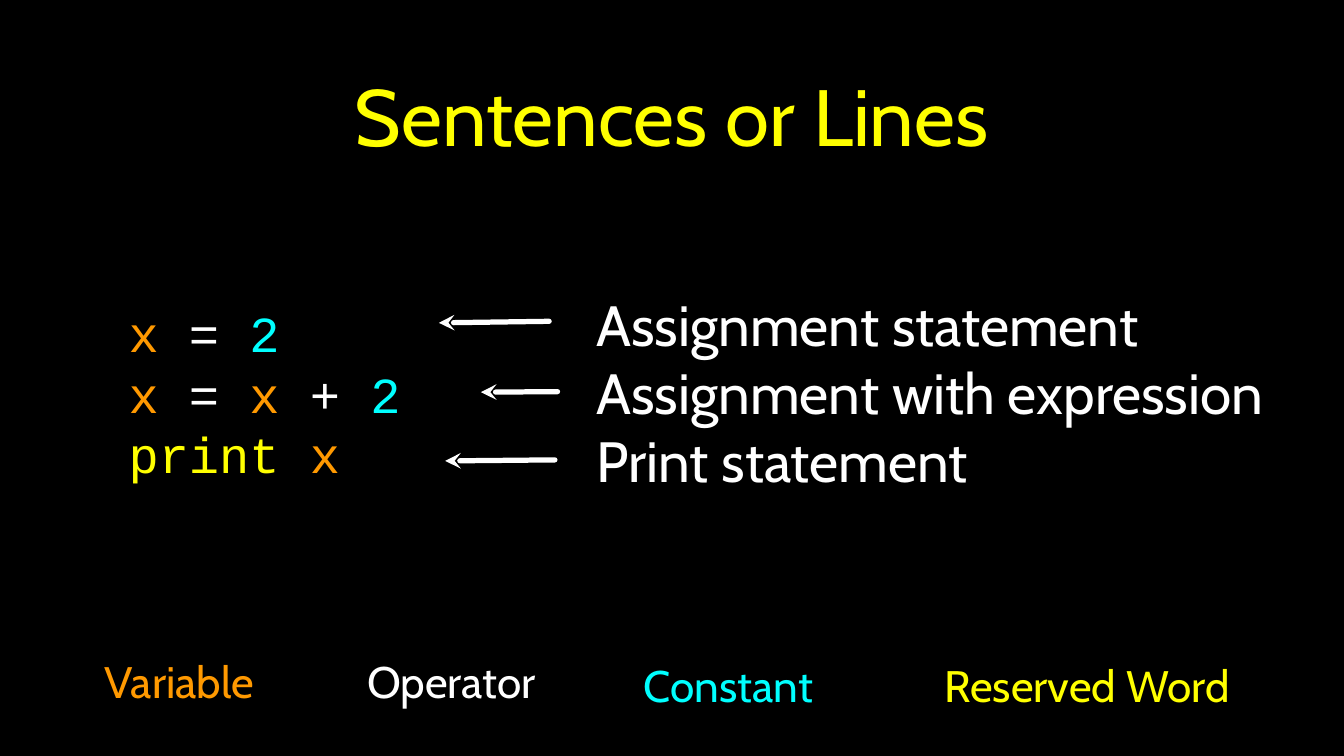
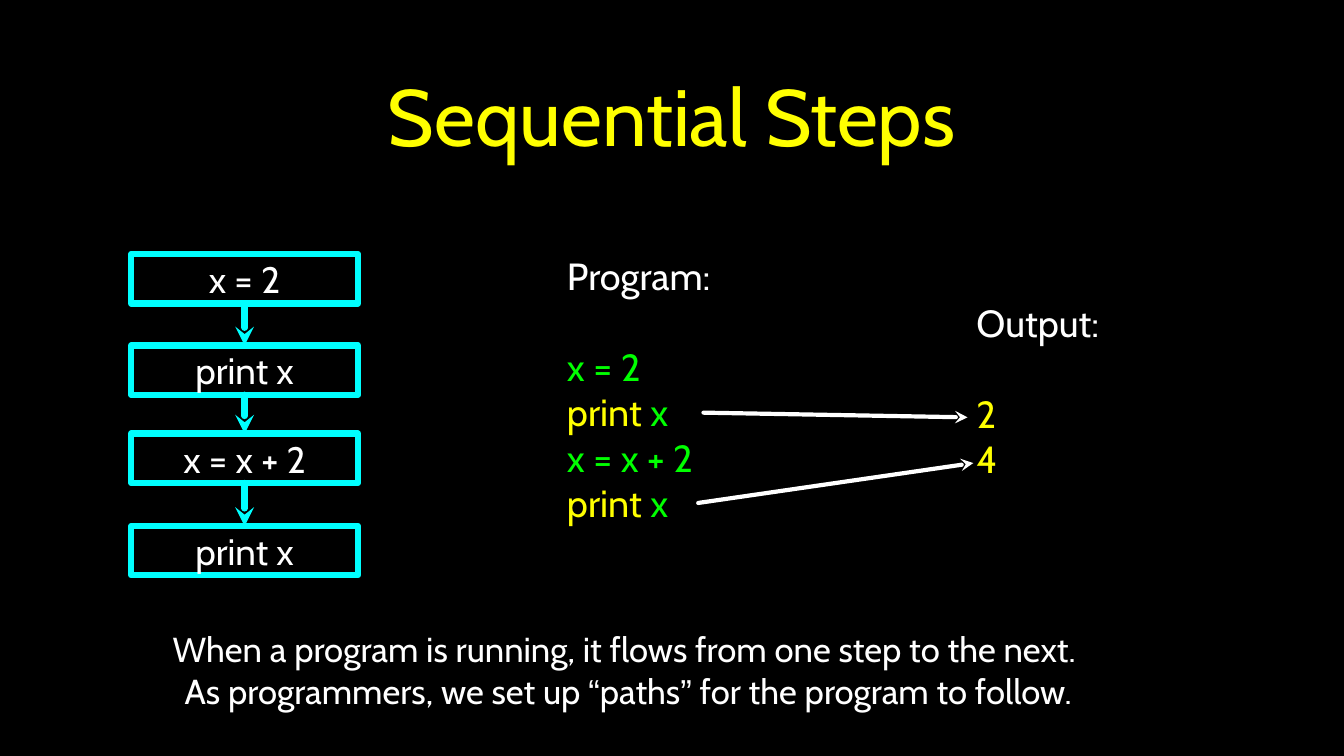
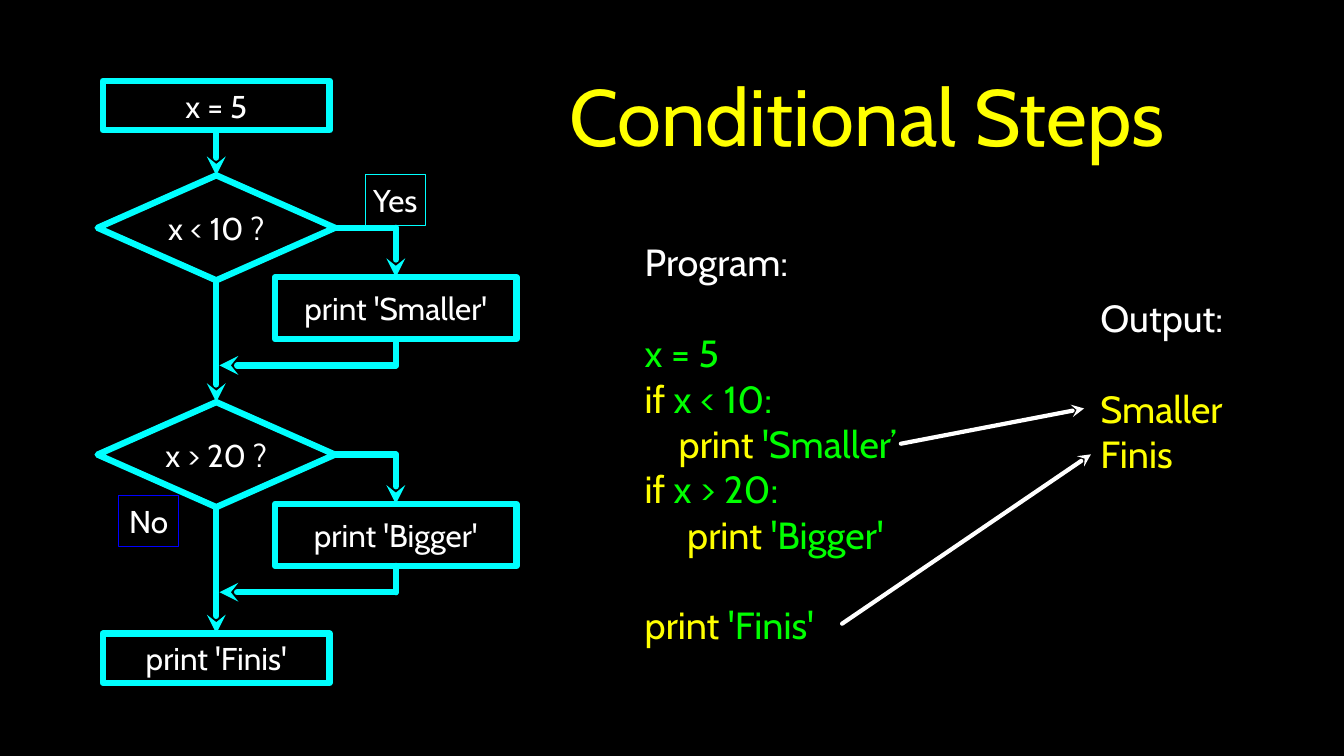
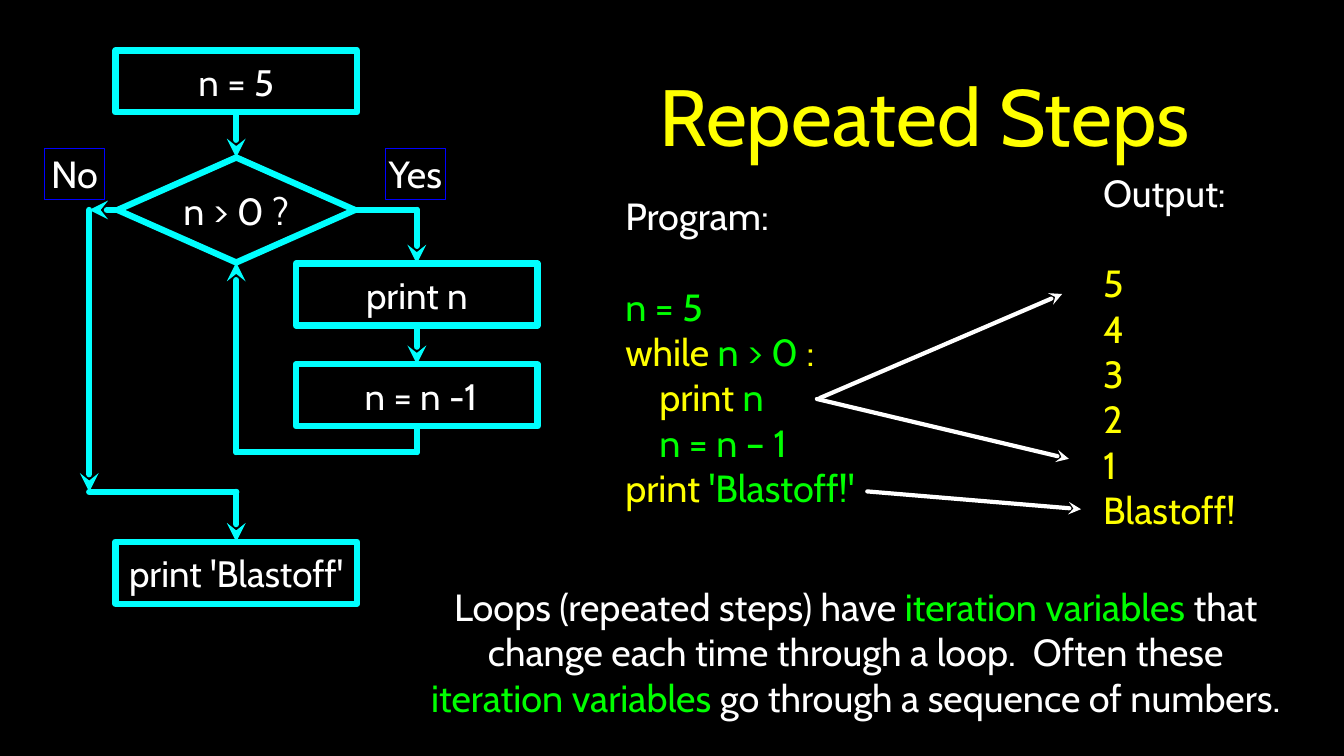
from typing import NamedTuple, Optional, Union

from lxml import etree
from pptx import Presentation
from pptx.dml.color import RGBColor
from pptx.enum.shapes import MSO_CONNECTOR, MSO_SHAPE
from pptx.enum.text import MSO_ANCHOR, MSO_AUTO_SIZE, PP_ALIGN
from pptx.oxml.ns import qn
from pptx.util import Pt

# Shared style
BLACK = RGBColor(0x00, 0x00, 0x00)
WHITE = RGBColor(0xFF, 0xFF, 0xFF)
YELLOW = RGBColor(0xFF, 0xFF, 0x00)
ORANGE = RGBColor(0xFF, 0x99, 0x00)
GREEN = RGBColor(0x00, 0xFF, 0x00)
CYAN = RGBColor(0x00, 0xFF, 0xFF)
BLUE = RGBColor(0x00, 0x00, 0xFF)
SANS, MONO, PLAIN = "Cabin", "Courier New", "Arial"
LEFT, CENTER = PP_ALIGN.LEFT, PP_ALIGN.CENTER
MIDDLE, FIXED = MSO_ANCHOR.MIDDLE, MSO_AUTO_SIZE.NONE
RECT, DIAMOND = MSO_SHAPE.RECTANGLE, MSO_SHAPE.DIAMOND
STRAIGHT = MSO_CONNECTOR.STRAIGHT
TOP, WEST, BOTTOM, EAST = range(4)
TITLE_EDGE = 1188
TWO_LISTS = 3
CODE_SIZE = 36
CODE_GAP = 43.2
TAB = 32.4
FLOW_WIDTH, HAND_WIDTH, LABEL_WIDTH = 6, 4, 0.75


class Box(NamedTuple):
    left: float
    top: float
    width: float
    height: float


class Span(NamedTuple):
    text: str
    color: RGBColor = WHITE
    font: str = SANS


class Line(NamedTuple):
    spans: list[Span]
    gap: float = 0
    indent: float = 0


class Point(NamedTuple):
    x: float
    y: float


class Site(NamedTuple):
    shape: object
    side: int


Stop = Union[Point, Site]


def line(*parts: Union[str, RGBColor], font: str = SANS, gap: float = 0,
         indent: float = 0) -> Line:
    """Build a line from alternating texts and colours."""
    spans = [Span(text, color, font) for text, color in zip(parts[::2], parts[1::2])]
    return Line(spans, gap, indent)


# Text
def write(shape, lines: list[Line], size: float, align=LEFT, inset: float = 0) -> None:
    frame = shape.text_frame
    frame.word_wrap = True
    frame.auto_size = FIXED
    frame.vertical_anchor = MIDDLE
    frame.margin_left = frame.margin_right = Pt(inset)
    frame.margin_top = frame.margin_bottom = Pt(inset)
    for index, item in enumerate(lines):
        para = frame.add_paragraph() if index else frame.paragraphs[0]
        para.alignment = align
        para.line_spacing = 1.0
        para.space_before, para.space_after = Pt(item.gap), Pt(0)
        props = para._p.get_or_add_pPr()
        props.set("marL", str(Pt(item.indent)))
        props.set("indent", "0")
        etree.SubElement(props, qn("a:buNone"))
        for span in item.spans:
            run = para.add_run()
            run.text = span.text
            run.font.name = span.font
            run.font.size = Pt(size)
            run.font.color.rgb = span.color


def place(shape, box: Box) -> None:
    shape.left, shape.top, shape.width, shape.height = map(Pt, box)


def add_slide(deck, title: str, left: float = 91):
    slide = deck.slides.add_slide(deck.slide_layouts[TWO_LISTS])
    place(slide.shapes.title, Box(left, 18.7, TITLE_EDGE - left, 180.7))
    write(slide.shapes.title, [line(title, YELLOW)], 76, CENTER, inset=3)
    return slide


def fill_list(slide, index: int, box: Box, lines: list[Line],
              size: float = CODE_SIZE) -> None:
    body = slide.placeholders[index]
    place(body, box)
    write(body, lines, size)


def add_code(slide, box: Box, lines: list[Line]) -> None:
    fill_list(slide, 1, box, [line("Program:", WHITE)] + lines)


def add_output(slide, box: Box, words: list[str]) -> None:
    lines = [line(word, YELLOW, gap=0 if index else CODE_GAP)
             for index, word in enumerate(words)]
    fill_list(slide, 2, box, [line("Output:", WHITE)] + lines)


def add_note(slide, box: Box, item: Line, size: float) -> None:
    write(slide.shapes.add_textbox(*map(Pt, box)), [item], size, CENTER)


# Flow chart parts
def style_line(shape, color: RGBColor, width: float, arrow: bool = False) -> None:
    shape.line.color.rgb = color
    shape.line.width = Pt(width)
    stroke = shape._element.spPr.find(qn("a:ln"))
    stroke.set("cap", "rnd")
    etree.SubElement(stroke, qn("a:round"))
    if arrow:
        etree.SubElement(stroke, qn("a:tailEnd"), type="stealth")


def add_step(slide, box: Box, text: str, size: float, kind=RECT,
             color: RGBColor = CYAN, width: float = FLOW_WIDTH):
    shape = slide.shapes.add_shape(kind, *map(Pt, box))
    shape.shadow.inherit = False
    shape.fill.background()
    style_line(shape, color, width)
    write(shape, [line(text, WHITE)], size, CENTER)
    return shape


def add_label(slide, left: float, top: float, text: str, size: float,
              color: RGBColor = BLUE) -> None:
    add_step(slide, Box(left, top, 57, 49), text, size, color=color, width=LABEL_WIDTH)


def locate(stop: Stop) -> tuple[int, int]:
    if isinstance(stop, Point):
        return Pt(stop.x), Pt(stop.y)
    shape, side = stop
    across, down = ((0.5, 0), (0, 0.5), (0.5, 1), (1, 0.5))[side]
    return (int(shape.left + shape.width * across),
            int(shape.top + shape.height * down))


def add_route(slide, *stops: Stop, color: RGBColor = CYAN,
              width: float = FLOW_WIDTH, arrow: bool = True) -> None:
    """Join the stops in order, with an arrowhead at the last one."""
    for index, (start, end) in enumerate(zip(stops, stops[1:]), 2):
        link = slide.shapes.add_connector(STRAIGHT, *locate(start), *locate(end))
        if isinstance(start, Site):
            link.begin_connect(start.shape, start.side)
        if isinstance(end, Site):
            link.end_connect(end.shape, end.side)
        style_line(link, color, width, arrow and index == len(stops))
        etree.SubElement(link._element.spPr, qn("a:effectLst"))


def add_hand(slide, start: Point, end: Point, width: float = HAND_WIDTH) -> None:
    add_route(slide, start, end, color=WHITE, width=width)


# Slides
def show_lines(deck) -> None:
    slide = add_slide(deck, "Sentences or Lines")
    fill_list(slide, 1, Box(122.4, 215.3, 315.4, 318.2), [
        line("x ", ORANGE, "= ", WHITE, "2", CYAN, font=MONO),
        line("x ", ORANGE, "= ", WHITE, "x ", ORANGE, "+ ", WHITE, "2", CYAN, font=MONO),
        line("print ", YELLOW, "x", ORANGE, font=MONO),
    ], 48)
    kinds = ("Assignment statement", "Assignment with expression", "Print statement")
    fill_list(slide, 2, Box(568, 213.8, 666.7, 318.2),
              [line(kind, WHITE) for kind in kinds], 54)

    legend = (("Variable", ORANGE, 78.5, 620, 184.3),
              ("Operator", WHITE, 343.4, 620, 172.8),
              ("Constant", CYAN, 610.6, 624.2, 166.3),
              ("Reserved Word", YELLOW, 897.8, 624.2, 275))
    for word, color, left, top, width in legend:
        add_note(slide, Box(left, top, width, 56.9), line(word, color), 42)

    for start, end in ((Point(523, 306), Point(418, 307.5)),
                       (Point(531, 373), Point(458, 373.5)),
                       (Point(528.5, 438), Point(424, 439))):
        add_hand(slide, start, end, 5)


def show_sequence(deck) -> None:
    slide = add_slide(deck, "Sequential Steps")
    add_code(slide, Box(540, 242, 171.4, 257), [
        line("x = 2", GREEN, gap=CODE_GAP),
        line("print ", YELLOW, "x", GREEN),
        line("x = x + 2", GREEN),
        line("print ", YELLOW, "x", GREEN),
    ])
    add_output(slide, Box(930, 288, 157, 168), ["2", "4"])

    texts = ("x = 2", "print x", "x = x + 2", "print x")
    steps = [add_step(slide, Box(125, top, 216, 47), text, 35)
             for text, top in zip(texts, (242, 329, 413, 501))]
    for upper, lower in zip(steps, steps[1:]):
        add_route(slide, Site(upper, BOTTOM), Site(lower, TOP))

    add_hand(slide, Point(670, 393), Point(921.5, 397.5))
    add_hand(slide, Point(665, 479), Point(927, 441))
    note = Line([
        Span("When a program is running, it flows from one step to the next.  "
             "As programmers, we set up "),
        Span("“", font=PLAIN), Span("paths"), Span("”", font=PLAIN),
        Span(" for the program to follow."),
    ])
    add_note(slide, Box(162, 595.5, 872.6, 84), note, 33)


def add_branch(slide, top: float, test: str, action: str):
    """Draw a test with its Yes branch, which rejoins the main path."""
    check = add_step(slide, Box(93, top, 226, 100), test, 30, DIAMOND)
    step = add_step(slide, Box(262, top + 97, 230, 59), action, 30)
    add_route(slide, Site(check, EAST), Point(377, top + 50), Site(step, TOP))
    add_route(slide, Site(step, BOTTOM), Point(377, top + 181), Point(209, top + 181))
    return check


def show_choice(deck) -> None:
    slide = add_slide(deck, "Conditional Steps", 463)
    add_output(slide, Box(1048, 281, 124.6, 172), ["Smaller", "Finis"])
    add_code(slide, Box(614, 226, 244, 392.4), [
        line("x = 5", GREEN, gap=CODE_GAP),
        line("if ", YELLOW, "x < 10:", GREEN),
        line("print ", YELLOW, "'Smaller’", GREEN, indent=TAB),
        line("if ", YELLOW, "x > 20:", GREEN),
        line("print ", YELLOW, "'Bigger'", GREEN, indent=TAB * 1.25),
        line("print ", YELLOW, "'Finis'", GREEN, gap=CODE_GAP),
    ])

    first = add_step(slide, Box(98, 77, 216, 47), "x = 5", 30)
    small = add_branch(slide, 167, "x < 10 ?", "print 'Smaller'")
    big = add_branch(slide, 383, "x > 20 ?", "print 'Bigger'")
    last = add_step(slide, Box(98, 603.4, 216, 47), "print 'Finis'", 30)
    steps = (first, small, big, last)
    for upper, lower in zip(steps, steps[1:]):
        add_route(slide, Site(upper, BOTTOM), Site(lower, TOP))
    add_label(slide, 348, 166, "Yes", 30, CYAN)
    add_label(slide, 113, 471.6, "No", 30)

    add_hand(slide, Point(858, 422.6), Point(1032.5, 389))
    add_hand(slide, Point(802, 594), Point(1039, 432.7))


def show_loop(deck) -> None:
    slide = add_slide(deck, "Repeated Steps", 573)
    add_output(slide, Box(1050.5, 166, 157, 336), ["5", "4", "3", "2", "1", "Blastoff!"])
    add_code(slide, Box(595.5, 182, 289.4, 305), [
        line("n = 5", GREEN, gap=CODE_GAP),
        line("while", YELLOW, " n > 0", GREEN, " :", YELLOW),
        line("print ", YELLOW, "n", GREEN, indent=TAB),
        line("n = n – 1", GREEN, indent=TAB),
        line("print ", YELLOW, "'Blastoff!'", GREEN),
    ])

    check = add_step(slide, Box(112, 150, 226, 100), "n > 0 ?", 36, DIAMOND)
    first, shout, count, last = [
        add_step(slide, Box(left, top, 230, 59), text, 35)
        for left, top, text in ((110, 48, "n = 5"), (282, 251, "print n"),
                                (282, 347, " n = n -1"), (110, 516, "print 'Blastoff'"))]
    add_route(slide, Site(first, BOTTOM), Site(check, TOP))

    # Yes: through the loop body and back to the test
    add_route(slide, Site(check, EAST), Point(397, 200), Site(shout, TOP))
    add_route(slide, Site(shout, BOTTOM), Site(count, TOP))
    add_route(slide, Site(count, BOTTOM), Point(397, 430.5), Point(225, 430.5),
              Site(check, BOTTOM))
    add_label(slide, 367, 141, "Yes", 36)

    # No: around the loop to the last step
    add_route(slide, Site(check, WEST), Point(85, 200))
    add_route(slide, Point(85, 200), Point(85, 468.5))
    add_route(slide, Point(85, 468.5), Point(225, 468.5), Site(last, TOP))
    add_label(slide, 42.5, 141, "No", 36)

    add_hand(slide, Point(781, 379), Point(1011.6, 280))
    add_hand(slide, Point(778, 380), Point(1018, 437))
    add_hand(slide, Point(826, 468), Point(1029.6, 485))
    note = line("Loops (repeated steps) have ", WHITE, "iteration variables ", GREEN,
                "that change each time through a loop.  Often these ", WHITE,
                "iteration variables", GREEN,
                " go through a sequence of numbers.", WHITE)
    add_note(slide, Box(398, 555, 834, 131), note, 36)


def main() -> None:
    deck = Presentation()
    deck.slide_width, deck.slide_height = Pt(1280), Pt(720)
    back = deck.slide_master.background.fill
    back.solid()
    back.fore_color.rgb = BLACK
    for show in (show_lines, show_sequence, show_choice, show_loop):
        show(deck)
    deck.save("out.pptx")


if __name__ == "__main__":
    main()
